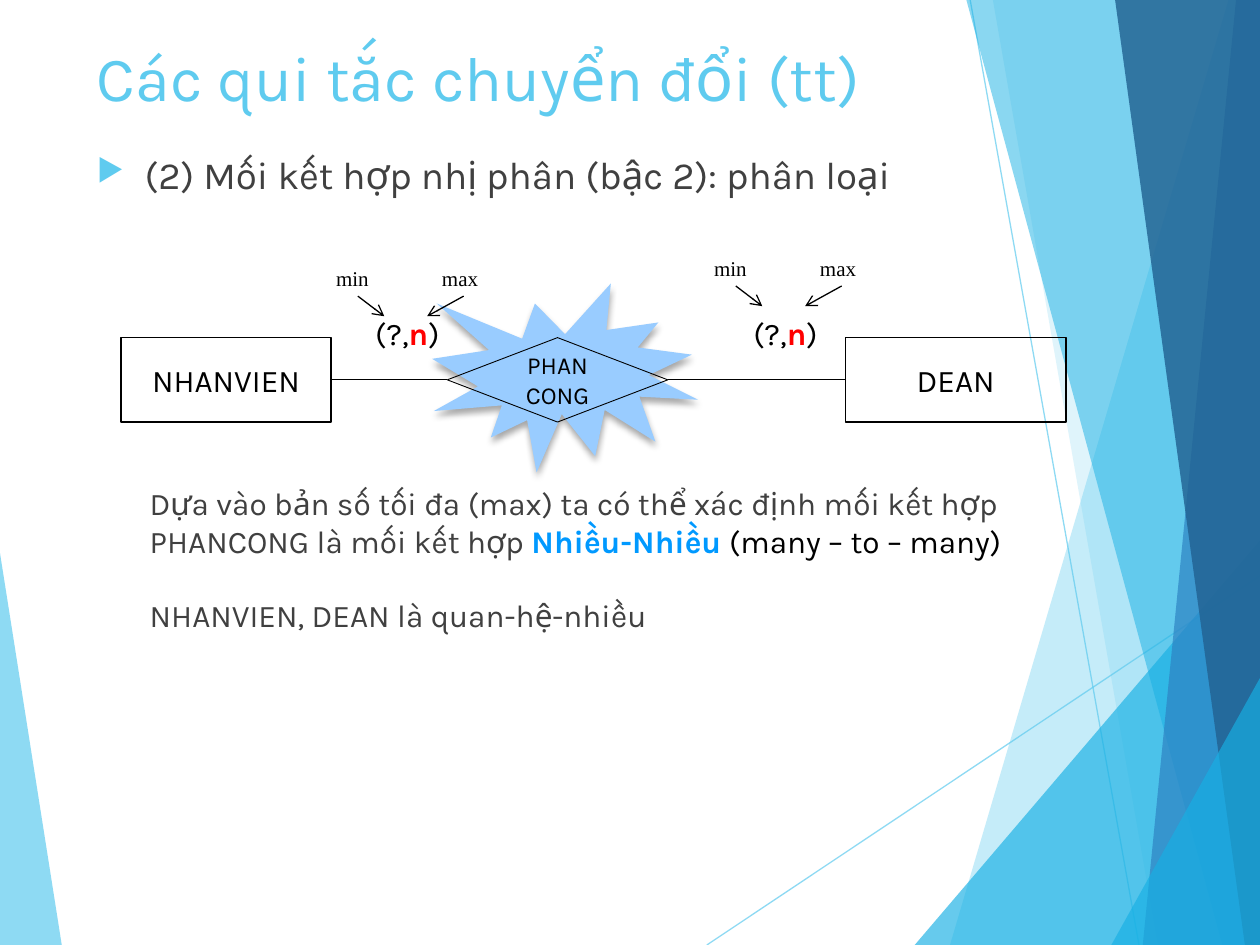
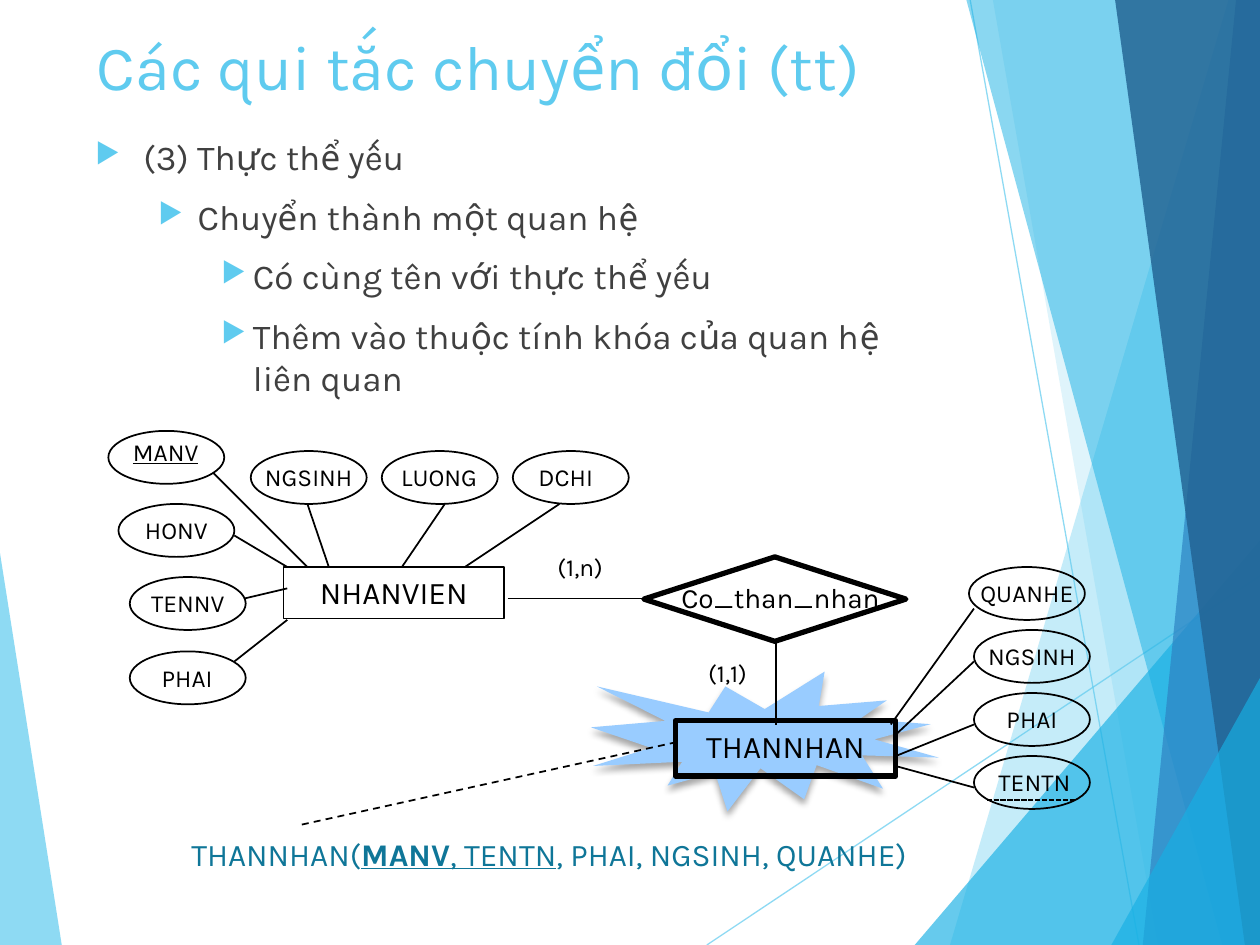
"""Build two slides on turning entity-relationship diagrams into relations."""
import dataclasses
import typing

import pptx
import pptx.dml.color
import pptx.enum.dml
import pptx.enum.shapes
import pptx.enum.text
import pptx.oxml
import pptx.oxml.ns
import pptx.util
import lxml.etree

PX = 9144
SLIDE_WIDTH, SLIDE_HEIGHT = 1000, 750
FONT = "Karla"
TITLE = "Các qui tắc chuyển đổi (tt)"
COLORS = {
    "sky": "5FCBEF", "cyan": "17B0E4", "blue": "2E83C3", "navy": "226292",
    "text": "404040", "black": "000000", "red": "FF0000", "accent": "0099FF",
    "seal": "99CCFF", "teal": "0F7698",
}
SHAPES = pptx.enum.shapes.MSO_SHAPE
ANCHORS = pptx.enum.text.MSO_ANCHOR
DASHES = pptx.enum.dml.MSO_LINE
CENTER = pptx.enum.text.PP_ALIGN.CENTER
Point = tuple[int, int]


class Run(typing.NamedTuple):
    """A stretch of text in one format."""
    text: str
    size: int = 18
    color: str = "black"
    font: str = FONT
    bold: bool = False
    underline: bool = False


class Paragraph(typing.NamedTuple):
    """Runs with their paragraph format; an indent makes it a bullet."""
    runs: list[Run]
    centered: bool = False
    space_before: int = 0
    level: int = 0
    indent: Point | None = None


@dataclasses.dataclass
class Box:
    """A text box, or a preset shape that may hold text."""
    left: int
    top: int
    width: int
    height: int
    paragraphs: list[Paragraph] = dataclasses.field(default_factory=list)
    preset: typing.Any = None
    line_width: float = 0
    fill: str = ""
    middle: bool = False
    wrap: bool = True


class Line(typing.NamedTuple):
    """A straight line between two points."""
    begin: Point
    end: Point
    width: float = 1
    color: str = "black"
    opacity: int = 100
    dash: typing.Any = None
    arrow: bool = False


class Facet(typing.NamedTuple):
    """A translucent polygon of the background."""
    points: list[Point]
    color: str
    opacity: int


class Attribute(typing.NamedTuple):
    """An attribute ellipse with its label and the line to its entity."""
    name: str
    left: int
    top: int
    joint: Point
    rim: Point
    label_width: int = 92
    label_shift: int = 0
    label_drop: int = 4
    key: bool = False


FACETS_BEHIND = [Facet([(0, 439), (49, 750), (0, 750)], "sky", 70)]
BACKGROUND_LINES = [
    Line((561, 750), (1000, 457), 0.75, "sky", 70),
    Line((770, 0), (904, 750), 0.75, "sky", 70),
]
FACETS_FRONT = [
    Facet([(975, 0), (754, 750), (1000, 750), (1000, 0)], "sky", 36),
    Facet([(788, 0), (919, 750), (1000, 750), (1000, 0)], "sky", 20),
    Facet([(726, 750), (1000, 429), (1000, 750)], "cyan", 66),
    Facet([(767, 0), (970, 750), (1000, 750), (1000, 0)], "cyan", 50),
    Facet([(981, 0), (907, 750), (1000, 750), (1000, 0)], "blue", 70),
    Facet([(885, 0), (988, 750), (1000, 750), (1000, 0)], "navy", 82),
    Facet([(882, 750), (1000, 538), (1000, 750)], "cyan", 66),
]
ATTRIBUTES = [
    Attribute("MANV", 86, 342, (244, 450), (169, 375), 83, 0, 0, True),
    Attribute("HONV", 94, 400, (228, 450), (186, 425)),
    Attribute("TENNV", 103, 458, (228, 467), (194, 475)),
    Attribute("PHAI", 103, 517, (228, 492), (186, 525), 83),
    Attribute("NGSINH", 199, 358, (261, 450), (244, 400), 100),
    Attribute("LUONG", 303, 358, (319, 450), (353, 400), 83),
    Attribute("DCHI", 407, 358, (369, 450), (444, 400), 92, -4),
    Attribute("QUANHE", 769, 450, (707, 575), (773, 483), 100),
    Attribute("NGSINH", 773, 500, (711, 583), (773, 525)),
    Attribute("PHAI", 773, 550, (711, 600), (773, 575)),
    Attribute("TENTN", 773, 600, (711, 608), (773, 625), 92, 2),
]


def rgb(name: str) -> pptx.dml.color.RGBColor:
    """Look a colour up by name."""
    return pptx.dml.color.RGBColor.from_string(COLORS[name])


def apply(target: typing.Any, values: dict[str, typing.Any]) -> None:
    """Set every named attribute on the target."""
    for name, value in values.items():
        setattr(target, name, value)


def add_xml(parent: typing.Any, tag: str, **values: str) -> typing.Any:
    """Append an XML child and return it."""
    return lxml.etree.SubElement(parent, pptx.oxml.ns.qn(tag), values)


def set_opacity(shape: typing.Any, percent: int) -> None:
    """Make the direct colours of a shape translucent."""
    for color in shape.element.spPr.iter(pptx.oxml.ns.qn("a:srgbClr")):
        add_xml(color, "a:alpha", val=str(percent * 1000))


def add_bullet(paragraph: typing.Any, indent: Point) -> None:
    """Give a paragraph a hanging triangle bullet."""
    properties = paragraph._p.get_or_add_pPr()
    left, hanging = indent
    properties.set("marL", str(left * PX))
    properties.set("indent", str(-hanging * PX))
    add_xml(add_xml(properties, "a:buClr"), "a:srgbClr", val=COLORS["sky"])
    add_xml(properties, "a:buSzPct", val="80000")
    add_xml(properties, "a:buChar", char="▶")


def write_text(frame: typing.Any, box: Box) -> None:
    """Fill a text frame with the paragraphs of a box."""
    apply(frame, {"word_wrap": box.wrap,
                  "vertical_anchor": ANCHORS.MIDDLE if box.middle else ANCHORS.TOP})
    for index, item in enumerate(box.paragraphs):
        paragraph = frame.add_paragraph() if index else frame.paragraphs[0]
        apply(paragraph, {"level": item.level,
                          "alignment": CENTER if item.centered else pptx.enum.text.PP_ALIGN.LEFT,
                          "space_before": pptx.util.Pt(item.space_before)})
        if item.indent:
            add_bullet(paragraph, item.indent)
        for part in item.runs:
            run = paragraph.add_run()
            run.text = part.text
            apply(run.font, {"name": part.font, "size": pptx.util.Pt(part.size),
                             "bold": part.bold, "underline": part.underline})
            run.font.color.rgb = rgb(part.color)


def draw_box(slide: typing.Any, box: Box) -> typing.Any:
    """Draw a text box or preset shape."""
    place = [length * PX for length in (box.left, box.top, box.width, box.height)]
    if box.preset is None:
        shape = slide.shapes.add_textbox(*place)
    else:
        shape = slide.shapes.add_shape(box.preset, *place)
        shape.shadow.inherit = False
        shape.fill.background()
        shape.line.fill.background()
        if box.fill:
            shape.fill.solid()
            shape.fill.fore_color.rgb = rgb(box.fill)
        if box.line_width:
            shape.line.color.rgb = rgb("black")
            shape.line.width = pptx.util.Pt(box.line_width)
    if box.paragraphs:
        write_text(shape.text_frame, box)
    return shape


def draw_line(slide: typing.Any, line: Line) -> None:
    """Draw a straight connector."""
    ends = [length * PX for length in (*line.begin, *line.end)]
    connector = slide.shapes.add_connector(pptx.enum.shapes.MSO_CONNECTOR.STRAIGHT, *ends)
    connector.line.color.rgb = rgb(line.color)
    apply(connector.line, {"width": pptx.util.Pt(line.width), "dash_style": line.dash})
    if line.arrow:
        add_xml(connector.line._get_or_add_ln(), "a:tailEnd", type="arrow")
    if line.opacity < 100:
        set_opacity(connector, line.opacity)
    add_xml(connector.element.spPr, "a:effectLst")


def draw_facet(slide: typing.Any, facet: Facet) -> None:
    """Draw one background polygon."""
    builder = slide.shapes.build_freeform(*facet.points[0], scale=PX)
    builder.add_line_segments(facet.points[1:], close=True)
    shape = builder.convert_to_shape()
    shape.shadow.inherit = False
    shape.fill.solid()
    shape.fill.fore_color.rgb = rgb(facet.color)
    shape.line.fill.background()
    set_opacity(shape, facet.opacity)


def draw_seal(slide: typing.Any, left: int, top: int, width: int, height: int) -> None:
    """Draw the highlighting burst with its soft shadow."""
    shape = draw_box(slide, Box(left, top, width, height, preset=SHAPES.EXPLOSION1, fill="seal"))
    effects = shape.element.spPr.find(pptx.oxml.ns.qn("a:effectLst"))
    shadow = add_xml(effects, "a:outerShdw", blurRad="50800", dist="38100",
                     dir="5400000", rotWithShape="0")
    add_xml(add_xml(shadow, "a:srgbClr", val=COLORS["black"]), "a:alpha", val="35000")


def draw_attribute(slide: typing.Any, item: Attribute) -> None:
    """Draw an attribute ellipse, its label and its line."""
    draw_box(slide, Box(item.left, item.top, 92, 42, preset=SHAPES.OVAL, line_width=1))
    label_left = item.left + (92 - item.label_width) // 2 + item.label_shift
    draw_box(slide, Box(label_left, item.top + item.label_drop, item.label_width, 33,
                        [Paragraph([Run(item.name, 14, underline=item.key)], True)]))
    draw_line(slide, Line(item.joint, item.rim))


def centered(*texts: str, size: int = 18) -> list[Paragraph]:
    """Make one centred paragraph of each text."""
    return [Paragraph([Run(text, size)], True) for text in texts]


def bullet(text: str, size: int, level: int = 0, space_before: int = 10) -> Paragraph:
    """Make a body bullet at the given level."""
    indent = [(38, 38), (81, 31), (125, 25)][level]
    return Paragraph([Run(text, size, "text")], False, space_before, level, indent)


def start_slide(presentation: typing.Any, title: Box, body: Box) -> typing.Any:
    """Add a slide with the shared background, title and body."""
    slide = presentation.slides.add_slide(presentation.slide_layouts[6])
    for facet in FACETS_BEHIND:
        draw_facet(slide, facet)
    for line in BACKGROUND_LINES:
        draw_line(slide, line)
    for facet in FACETS_FRONT:
        draw_facet(slide, facet)
    title.paragraphs = [Paragraph([Run(TITLE, 36, "sky")])]
    draw_box(slide, title)
    draw_box(slide, body)
    return slide


def draw_cardinality(slide: typing.Any, label: Box, left: int, top: int) -> None:
    """Draw a (?,n) label with its min and max pointers."""
    label.paragraphs = [Paragraph([Run("(?,"), Run("n", color="red", bold=True), Run(")")])]
    draw_box(slide, label)
    for name, offset, reach in (("min", 0, 21), ("max", 84, -29)):
        draw_box(slide, Box(left + offset, top, 75, 33,
                            [Paragraph([Run(name, 12, font="Times New Roman")])],
                            SHAPES.OVAL, wrap=False))
        begin = left + offset + 38
        draw_line(slide, Line((begin, top + 34), (begin + reach, top + 50), 0.75, arrow=True))


def build_binary_slide(presentation: typing.Any) -> None:
    """Build the slide on binary relationships."""
    slide = start_slide(presentation, Box(67, 26, 694, 84), Box(67, 115, 694, 424, [
        bullet("(2) Mối kết hợp nhị phân (bậc 2): phân loại", 22, space_before=0)]))
    draw_box(slide, Box(109, 379, 730, 131, [
        Paragraph([Run("Dựa vào bản số tối đa (max) ta có thể xác định mối kết hợp "
                       "PHANCONG là mối kết hợp ", color="text"),
                   Run("Nhiều-Nhiều ", color="accent", bold=True),
                   Run("(many – to – many)")]),
        Paragraph([Run("NHANVIEN, DEAN là quan-hệ-nhiều", color="text")], space_before=21)]))
    draw_seal(slide, 343, 225, 211, 150)
    for left, width, preset, weight, paragraphs in (
            (671, 175, SHAPES.RECTANGLE, 1, centered("DEAN")),
            (96, 167, SHAPES.RECTANGLE, 1, centered("NHANVIEN")),
            (355, 175, SHAPES.DIAMOND, 0.5, centered("PHAN", "CONG", size=14))):
        draw_box(slide, Box(left, 268, width, 67, paragraphs, preset, weight, middle=True))
    for begin, end in ((530, 671), (355, 263)):
        draw_line(slide, Line((begin, 301), (end, 301), 0.5))
    draw_cardinality(slide, Box(288, 244, 83, 40), 246, 201)
    draw_cardinality(slide, Box(588, 244, 72, 40, wrap=False), 546, 193)


def build_weak_entity_slide(presentation: typing.Any) -> None:
    """Build the slide on weak entities."""
    slide = start_slide(presentation, Box(67, 17, 694, 77), Box(66, 103, 694, 424, [
        bullet("(3) Thực thể yếu", 20, space_before=0),
        bullet("Chuyển thành một quan hệ", 20, 1),
        bullet("Có cùng tên với thực thể yếu", 20, 2),
        bullet("Thêm vào thuộc tính khóa của quan hệ liên quan", 20, 2)]))
    draw_seal(slide, 469, 533, 276, 111)
    for attribute in ATTRIBUTES:
        draw_attribute(slide, attribute)
    for box in (
            Box(225, 450, 175, 41, centered("NHANVIEN"), SHAPES.RECTANGLE, 1),
            Box(536, 572, 175, 44, centered("THANNHAN"), SHAPES.RECTANGLE, 3),
            Box(511, 442, 208, 67, preset=SHAPES.FLOWCHART_DECISION, line_width=3),
            Box(528, 456, 183, 37, centered("Co_than_nhan", size=16)),
            Box(540, 517, 75, 33, centered("(1,1)", size=14)),
            Box(423, 433, 75, 33, centered("(1,n)", size=14)),
            Box(142, 658, 692, 40, [Paragraph([
                Run("THANNHAN(", color="teal"),
                Run("MANV", color="teal", bold=True, underline=True),
                Run(", TENTN", color="teal", underline=True),
                Run(", PHAI, NGSINH, QUANHE)", color="teal")])])):
        draw_box(slide, box)
    for line in (Line((403, 475), (511, 475)), Line((616, 508), (616, 575)),
                 Line((537, 589), (237, 655), dash=DASHES.DASH),
                 Line((783, 635), (853, 635), dash=DASHES.SQUARE_DOT)):
        draw_line(slide, line)


def main() -> None:
    """Build and save the presentation."""
    presentation = pptx.Presentation()
    apply(presentation, {"slide_width": SLIDE_WIDTH * PX, "slide_height": SLIDE_HEIGHT * PX})
    build_binary_slide(presentation)
    build_weak_entity_slide(presentation)
    presentation.save("out.pptx")


if __name__ == "__main__":
    main()
